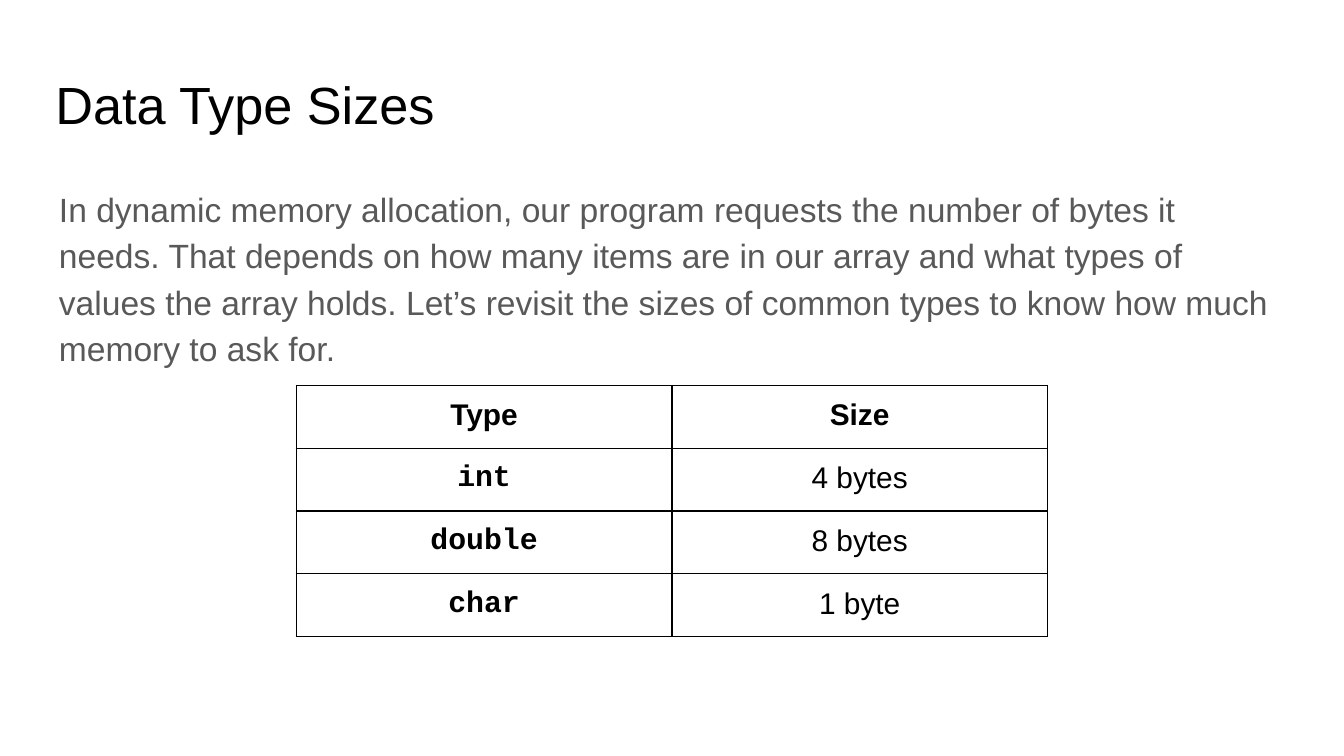
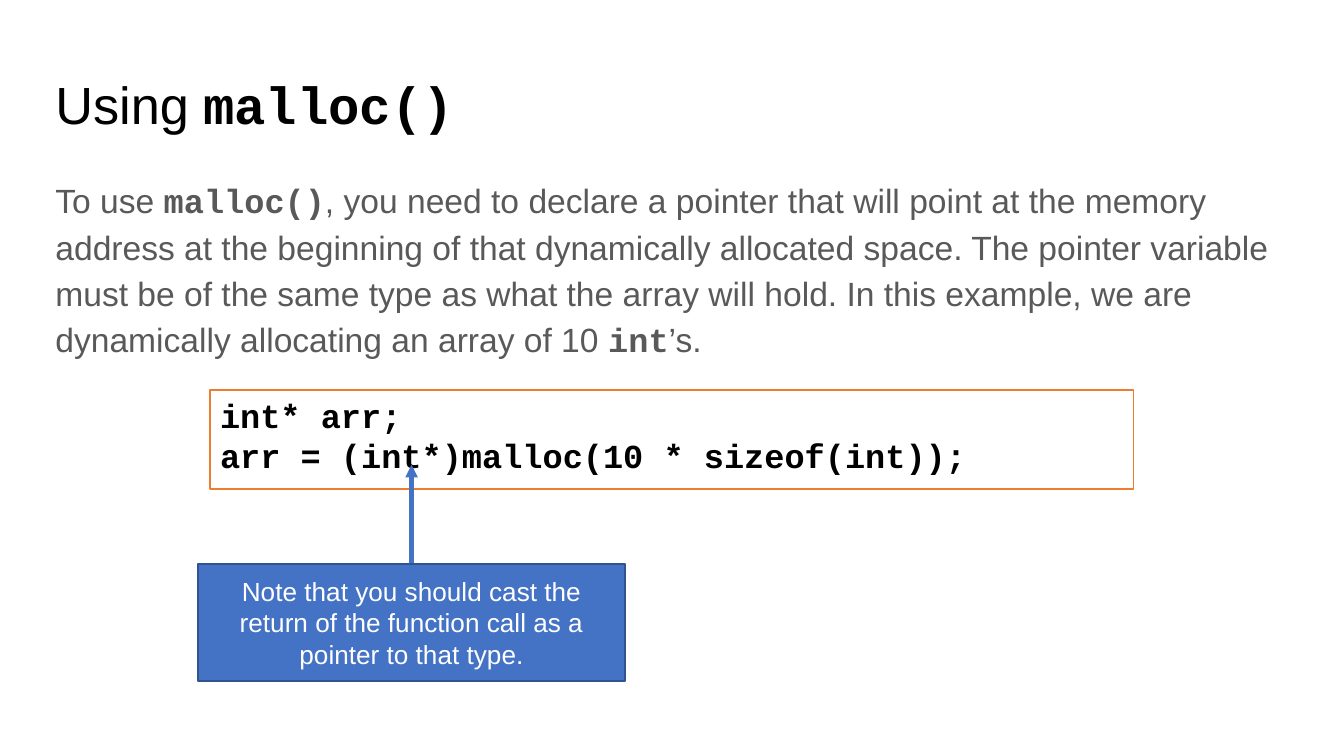
from dataclasses import dataclass
from typing import NamedTuple

from lxml.etree import SubElement
from pptx import Presentation
from pptx.dml.color import RGBColor
from pptx.enum.shapes import MSO_CONNECTOR as CONN, MSO_SHAPE as SHAPE
from pptx.enum.text import MSO_ANCHOR as ANCHOR, PP_ALIGN as ALIGN
from pptx.oxml.ns import qn
from pptx.util import Pt

COLORS = {
    "white": "FFFFFF", "black": "000000", "body": "595959",
    "orange": "ED7D31", "blue": "4472C4", "navy": "31538F",
}
TEXT_FONT, CODE_FONT = "Arial", "Courier New"
LEFT, WIDTH = 24.5, 671  # column shared by titles and body text
TIGHT, ROOMY, NOTE_INSET = (5.2, 2.6), (7.2, 7.2), (7.2, 3.6)


class Span(NamedTuple):
    text: str
    code: bool = False


@dataclass
class Style:
    size: float
    color: str
    inset: tuple[float, float] = TIGHT
    align: ALIGN = ALIGN.LEFT
    anchor: ANCHOR = ANCHOR.TOP
    spacing: float = 1.0


@dataclass
class Box:
    x: float
    y: float
    w: float
    h: float
    paragraphs: list[list[Span]]
    style: Style
    fill: str = ""
    line: str = ""


TITLE = Style(28, "black", anchor=ANCHOR.MIDDLE, spacing=0.9)
BODY = Style(18, "body", spacing=1.15)
BODY_ROOMY = Style(18, "body", ROOMY, spacing=1.15)
CODE = Style(18, "black")
NOTE = Style(14, "white", NOTE_INSET, ALIGN.CENTER, ANCHOR.MIDDLE)
CELL = Style(16, "black", ROOMY, ALIGN.CENTER)


def rgb(name: str) -> RGBColor:
    return RGBColor.from_string(COLORS[name])


def set_face(font, code: bool, bold: bool = False) -> None:
    font.name = CODE_FONT if code else TEXT_FONT
    font.bold = code or bold


def write_paragraph(p, spans: list[Span], style: Style, bold: bool = False) -> None:
    p.alignment, p.line_spacing = style.align, style.spacing
    p.font.size, p.font.color.rgb = Pt(style.size), rgb(style.color)
    mixed = len({span.code for span in spans}) > 1
    if not mixed:
        set_face(p.font, spans[0].code, bold)
    for span in spans:
        r = p.add_run()
        r.text = span.text
        if mixed:
            set_face(r.font, span.code, bold)


def set_insets(target, inset: tuple[float, float]) -> None:
    target.margin_left = target.margin_right = Pt(inset[0])
    target.margin_top = target.margin_bottom = Pt(inset[1])


def add_box(slide, box: Box):
    place = Pt(box.x), Pt(box.y), Pt(box.w), Pt(box.h)
    if box.fill:
        sp = slide.shapes.add_shape(SHAPE.RECTANGLE, *place)
        sp.shadow.inherit = False
        sp.fill.solid()
        sp.fill.fore_color.rgb = rgb(box.fill)
        sp.line.color.rgb, sp.line.width = rgb(box.line), Pt(1)
    else:
        sp = slide.shapes.add_textbox(*place)
    tf = sp.text_frame
    tf.word_wrap, tf.vertical_anchor = True, box.style.anchor
    set_insets(tf, box.style.inset)
    for i, spans in enumerate(box.paragraphs):
        p = tf.add_paragraph() if i else tf.paragraphs[0]
        write_paragraph(p, spans, box.style)
    return sp


def add_titled_slide(prs, title: list[Span]):
    slide = prs.slides.add_slide(prs.slide_layouts[6])
    add_box(slide, Box(LEFT, 35.3, WIDTH, 45, [title], TITLE))
    return slide


def add_arrow(slide, x: float, y_from: float, y_to: float):
    arrow = slide.shapes.add_connector(CONN.STRAIGHT, Pt(x), Pt(y_from), Pt(x), Pt(y_to))
    arrow.line.color.rgb, arrow.line.width = rgb("blue"), Pt(2.25)
    SubElement(arrow.line._get_or_add_ln(), qn("a:tailEnd"), type="triangle")
    SubElement(arrow._element.spPr, qn("a:effectLst"))
    return arrow


def outline_cell(cell) -> None:
    """Give the cell a thin black border, placed ahead of its fill."""
    tc_pr = cell._tc.get_or_add_tcPr()
    for i, side in enumerate(("lnL", "lnR", "lnT", "lnB")):
        ln = SubElement(tc_pr, qn(f"a:{side}"), w=str(Pt(0.75)))
        solid = SubElement(ln, qn("a:solidFill"))
        SubElement(solid, qn("a:srgbClr"), val=COLORS["black"])
        tc_pr.insert(i, ln)


def add_size_table(slide, rows: list[tuple[str, str]]) -> None:
    col_w, row_h = 201.25, 30.25
    frame = slide.shapes.add_table(len(rows), 2, Pt(158.7), Pt(206.5),
                                   Pt(2 * col_w), Pt(len(rows) * row_h))
    for i, row in enumerate(rows):
        for j, text in enumerate(row):
            cell = frame.table.cell(i, j)
            cell.fill.background()
            set_insets(cell, CELL.inset)
            span = Span(text, code=i > 0 and j == 0)
            write_paragraph(cell.text_frame.paragraphs[0], [span], CELL, bold=i == 0)
            outline_cell(cell)


def build_sizes(prs) -> None:
    slide = add_titled_slide(prs, [Span("Data Type Sizes")])
    intro = Span(
        "In dynamic memory allocation, our program requests the number of bytes it "
        "needs. That depends on how many items are in our array and what types of "
        "values the array holds. Let’s revisit the sizes of common types to know how "
        "much memory to ask for.")
    add_box(slide, Box(LEFT, 90.7, WIDTH, 84, [[intro]], BODY_ROOMY))
    add_size_table(slide, [("Type", "Size"), ("int", "4 bytes"),
                           ("double", "8 bytes"), ("char", "1 byte")])


def build_malloc(prs) -> None:
    slide = add_titled_slide(prs, [Span("Using "), Span("malloc()", True)])
    intro = [
        Span("To use "), Span("malloc()", True),
        Span(", you need to declare a pointer that will point at the memory address "
             "at the beginning of that dynamically allocated space. The pointer "
             "variable must be of the same type as what the array will hold. In this "
             "example, we are dynamically allocating an array of 10 "),
        Span("int", True), Span("’s."),
    ]
    add_box(slide, Box(LEFT, 90.7, WIDTH, 269, [intro], BODY))

    # Code sample
    code = ["int* arr;", "arr = (int*)malloc(10 * sizeof(int));"]
    add_box(slide, Box(112.7, 209, 494.6, 53, [[Span(line, True)] for line in code],
                       CODE, "white", "orange"))

    # Note on the cast, with its arrow
    note = Box(106, 302, 229, 63,
               [[Span("Note that you should cast the return of the function call "
                      "as a pointer to that type.")]], NOTE, "blue", "navy")
    arrow = add_arrow(slide, note.x + note.w / 2, note.y, 249)
    arrow.begin_connect(add_box(slide, note), 0)


def main() -> None:
    prs = Presentation()
    prs.slide_width, prs.slide_height = Pt(720), Pt(405)
    build_sizes(prs)
    build_malloc(prs)
    prs.save("out.pptx")


if __name__ == "__main__":
    main()
